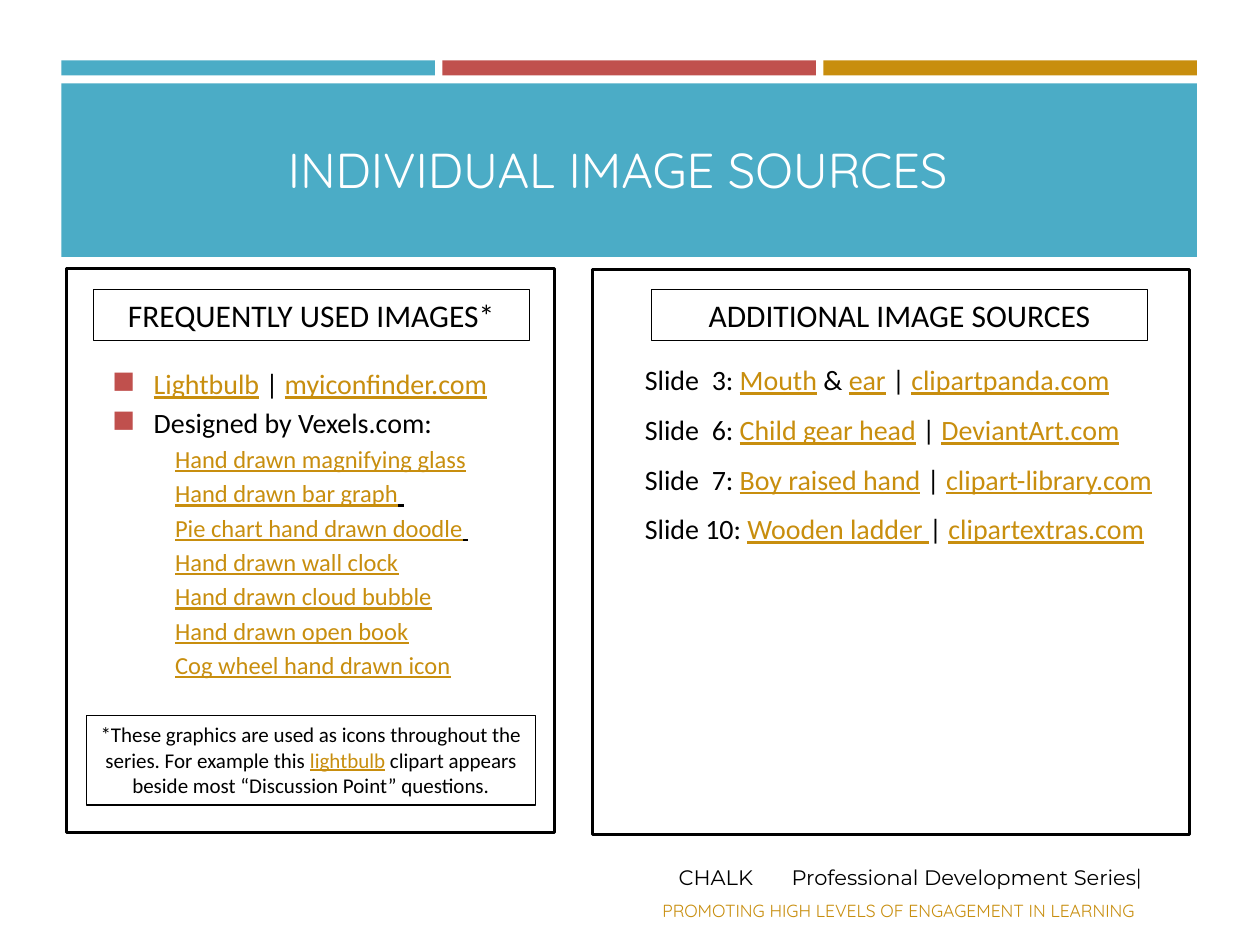
from lxml import etree
from pptx import Presentation, util as u
from pptx.dml.color import RGBColor
from pptx.enum import shapes, text
from pptx.oxml import ns

TEAL = RGBColor(0x4B, 0xAC, 0xC6)
RED = RGBColor(0xC0, 0x50, 0x4D)
GOLD = RGBColor(0xC8, 0x8E, 0x0E)
BLACK = RGBColor(0, 0, 0)
WHITE = RGBColor(0xFF, 0xFF, 0xFF)
CENTER = text.PP_ALIGN.CENTER
LEFT = text.PP_ALIGN.LEFT
MIDDLE = text.MSO_ANCHOR.MIDDLE
TOP = text.MSO_ANCHOR.TOP


def link(words):
    return words, {"color": GOLD, "underline": True}


UNDERLINED_SPACE = (" ", {"underline": True})
BAR = " | "

# A paragraph is a list of runs: plain words, or (words, format values).
ICON_SOURCES = [
    [link("Lightbulb"), BAR, link("myiconfinder.com")],
    ["Designed by Vexels.com:"],
]
DRAWN_ICONS = [
    [link("Hand drawn magnifying glass")],
    [link("Hand drawn bar graph"), UNDERLINED_SPACE],
    [link("Pie chart hand drawn doodle"), UNDERLINED_SPACE],
    [link("Hand drawn wall clock")],
    [link("Hand drawn cloud bubble")],
    [link("Hand drawn open book")],
    [link("Cog wheel hand drawn icon")],
]
SLIDE_SOURCES = [
    ["Slide\t3: ", link("Mouth"), " & ", link("ear"), BAR, link("clipartpanda.com")],
    ["Slide\t6: ", link("Child gear head"), BAR, link("DeviantArt.com")],
    ["Slide\t7: ", link("Boy raised hand"), BAR, link("clipart-library.com")],
    ["Slide 10: ", link("Wooden ladder "), "| ", link("clipartextras.com")],
]
NOTE = [[
    "*These graphics are used as icons throughout the series. For example this ",
    link("lightbulb"),
    " clipart appears beside most “Discussion Point” questions.",
]]
FOOTER = [["CHALK\tProfessional Development Series", ("|", {"name": "Quicksand"})]]

# left, top, width, height in centimetres
BAND = (1.24, 1.68, 22.89, 3.5)
STRIPE_TOP, STRIPE_HEIGHT, STRIPE_GAP = 1.22, 0.3, 0.15
FRAMES = [(1.35, 5.41, 9.83, 11.38), (11.94, 5.44, 12.04, 11.38)]
HEADINGS = [
    ("FREQUENTLY USED IMAGES*", (1.88, 5.84, 8.79, 1.02)),
    ("ADDITIONAL IMAGE SOURCES", (13.13, 5.84, 10.01, 1.02)),
]


def add_box(slide, place, fill=None, line=None, weight=0.75):
    box = slide.shapes.add_shape(shapes.MSO_SHAPE.RECTANGLE, *map(u.Cm, place))
    box.shadow.inherit = False
    if fill is None:
        box.fill.background()
    else:
        box.fill.solid()
        box.fill.fore_color.rgb = fill
    if line is None:
        box.line.fill.background()
    else:
        box.line.color.rgb = line
        box.line.width = u.Pt(weight)
    return box


def add_text_box(slide, place):
    return slide.shapes.add_textbox(*map(u.Cm, place))


def add_child(properties, tag, **attributes):
    return etree.SubElement(properties, ns.qn(tag), attributes)


def set_bullet(paragraph):
    properties = paragraph._p.get_or_add_pPr()
    colour = add_child(properties, "a:buClr")
    add_child(colour, "a:srgbClr", val=str(RED))
    add_child(properties, "a:buChar", char="◼")


def set_indent(paragraph, margin, first_line=0):
    properties = paragraph._p.get_or_add_pPr()
    properties.set("marL", str(u.Cm(margin)))
    properties.set("indent", str(u.Cm(first_line)))


def set_tab(paragraph, position):
    stops = add_child(paragraph._p.get_or_add_pPr(), "a:tabLst")
    add_child(stops, "a:tab", pos=str(u.Cm(position)), algn="l")


def write(box, paragraphs, size, font="Calibri", color=BLACK, align=CENTER,
          anchor=MIDDLE, gap=0, tab=None):
    """Fill the box with paragraphs of runs and return its paragraphs."""
    frame = box.text_frame
    frame.word_wrap = True
    frame.vertical_anchor = anchor
    for index, runs in enumerate(paragraphs):
        paragraph = frame.paragraphs[0] if index == 0 else frame.add_paragraph()
        paragraph.alignment = align
        if index:
            paragraph.space_before = u.Pt(gap)
        if tab:
            set_tab(paragraph, tab)
        for item in runs:
            words, changes = (item, {}) if isinstance(item, str) else item
            run = paragraph.add_run()
            run.text = words
            values = {"size": u.Pt(size), "name": font, "color": color, **changes}
            run.font.color.rgb = values.pop("color")
            for key, value in values.items():
                setattr(run.font, key, value)
    return frame.paragraphs


def add_banner(slide):
    left, _, width, _ = BAND
    colours = [TEAL, RED, GOLD]
    stripe = (width - STRIPE_GAP * (len(colours) - 1)) / len(colours)
    for index, colour in enumerate(colours):
        x = left + index * (stripe + STRIPE_GAP)
        add_box(slide, (x, STRIPE_TOP, stripe, STRIPE_HEIGHT), colour)
    add_box(slide, BAND, TEAL)
    title = add_text_box(slide, (1.35, 1.91, 22.2, 3))
    write(title, [["INDIVIDUAL IMAGE SOURCES"]], 28, "Quicksand", WHITE)


def add_icon_list(slide):
    box = add_text_box(slide, (2.01, 7.26, 8.53, 8.15))
    paragraphs = write(box, ICON_SOURCES + DRAWN_ICONS, 16, align=LEFT,
                       anchor=TOP, gap=3.2)
    for paragraph in paragraphs[:len(ICON_SOURCES)]:
        set_indent(paragraph, 0.84, -0.84)
        set_bullet(paragraph)
    for paragraph in paragraphs[len(ICON_SOURCES):]:
        paragraph.level = 1
        paragraph.space_before = u.Pt(2.8)
        set_indent(paragraph, 1.27)
        for run in paragraph.runs:
            run.font.size = u.Pt(14)


def main():
    deck = Presentation()
    deck.slide_width, deck.slide_height = u.Cm(25.4), u.Cm(19.05)
    slide = deck.slides.add_slide(deck.slide_layouts[6])

    add_banner(slide)
    for place in FRAMES:
        add_box(slide, place, line=BLACK, weight=1.75)
    for heading, place in HEADINGS:
        write(add_box(slide, place, WHITE, BLACK), [[heading]], 18)

    add_icon_list(slide)
    write(add_text_box(slide, (12.75, 7.19, 10.74, 8.15)), SLIDE_SOURCES, 16,
          align=LEFT, anchor=TOP, gap=9.2, tab=1.35)
    write(add_box(slide, (1.75, 14.43, 9.04, 1.8), WHITE, BLACK), NOTE, 12, anchor=TOP)

    write(add_text_box(slide, (13.43, 17.22, 10.9, 0.94)), FOOTER, 12, "Montserrat",
          align=LEFT, tab=2.28)
    write(add_text_box(slide, (12.93, 18.01, 10.36, 0.69)),
          [["PROMOTING HIGH LEVELS OF ENGAGEMENT IN LEARNING"]], 10, "Quicksand",
          GOLD, anchor=TOP)
    deck.save("out.pptx")


if __name__ == "__main__":
    main()
